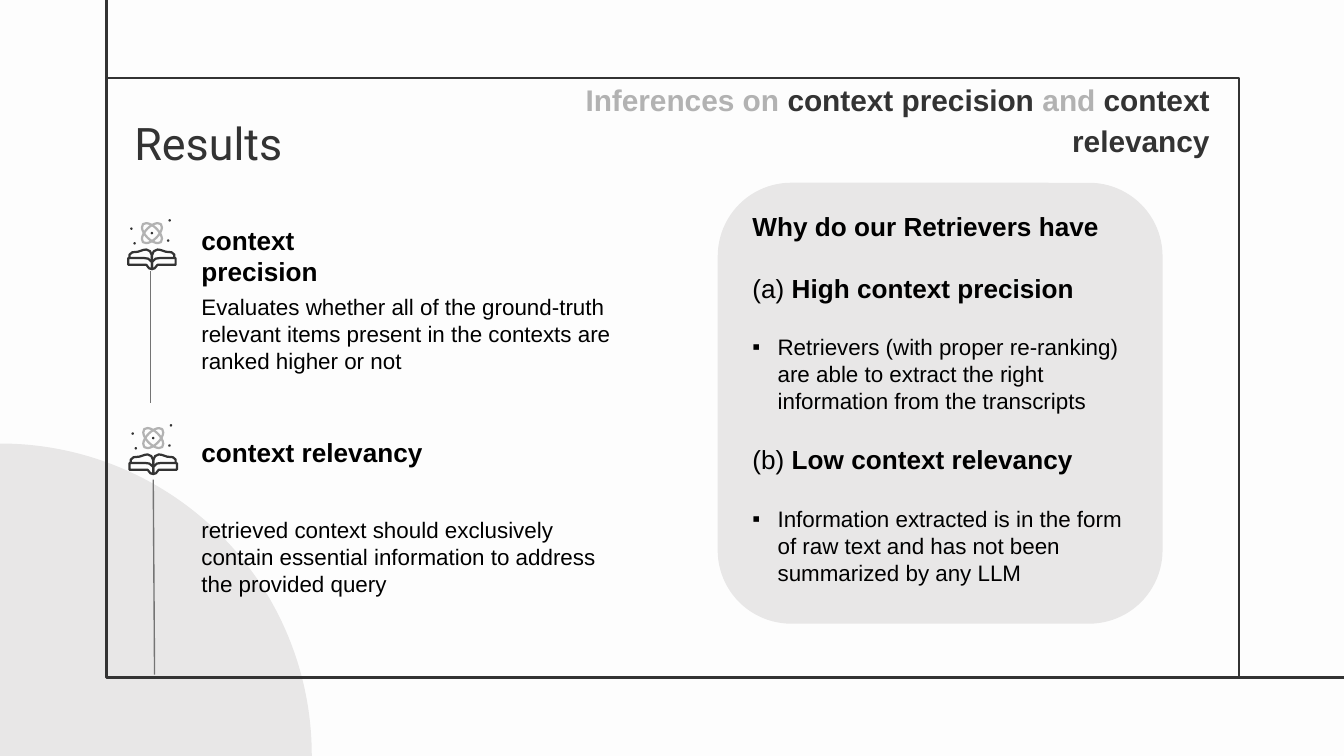
from lxml import etree
from pptx import Presentation, util as u
from pptx.dml import color
from pptx.enum import shapes, text
from pptx.oxml import ns

Pt = u.Pt
DARK, GREY, PALE, BLACK, THREAD = "333333", "B2B2B2", "E8E7E7", "000000", "747474"
OVAL = shapes.MSO_SHAPE.OVAL
HEADING = {"size": Pt(14), "bold": True}
BODY = {"size": Pt(12), "bold": False}

# Right half of the book icon, relative to the icon's top centre
COVER = [(0, 23), (2, 21.2), (4, 20.9), (12.7, 20.9), (12.7, 24.5),
         (3, 24.5), (1.5, 26.4), (0, 26.8)]
PAGE = [(0, 23), (0, 19.4), (1, 17.2), (3, 16.3), (4.5, 16.5), (7.5, 17.5),
        (10.5, 17.8), (12, 19), (12, 20.9)]
DOTS = [(0, 7.5), (9.5, 0.7), (-9.3, 13), (-11, 5.1), (8.7, 11.5)]


def rgb(value):
    return color.RGBColor.from_string(value)


def set_format(target, values):
    for name, value in values.items():
        setattr(target, name, value)


def style_shape(shape, fill=None, line=None, width=1.5):
    shape.shadow.inherit = False
    if fill:
        shape.fill.solid()
        shape.fill.fore_color.rgb = rgb(fill)
    else:
        shape.fill.background()
    if line:
        shape.line.color.rgb = rgb(line)
        shape.line.width = Pt(width)
    else:
        shape.line.fill.background()


def add_shape(slide, kind, box, **style):
    shape = slide.shapes.add_shape(kind, *map(Pt, box))
    style_shape(shape, **style)
    return shape


def add_line(slide, start, end, line, width):
    connector = slide.shapes.add_connector(
        shapes.MSO_CONNECTOR.STRAIGHT, *map(Pt, start + end))
    connector.line.color.rgb = rgb(line)
    connector.line.width = Pt(width)
    etree.SubElement(connector._element.spPr, ns.qn("a:effectLst"))


def add_outline(slide, points, closed):
    points = [(Pt(x), Pt(y)) for x, y in points]
    builder = slide.shapes.build_freeform(*points[0])
    builder.add_line_segments(points[1:], close=closed)
    style_shape(builder.convert_to_shape(), line=DARK, width=1.2)


def add_run(paragraph, words, font, tint=BLACK):
    run = paragraph.add_run()
    run.text = words
    set_format(run.font, {"name": "Arial", **font})
    run.font.color.rgb = rgb(tint)


def set_indent(paragraph, left, first):
    properties = paragraph._p.get_or_add_pPr()
    properties.set("marL", str(Pt(left)))
    properties.set("indent", str(Pt(first)))
    return properties


def add_bullet(paragraph):
    properties = set_indent(paragraph, 13.5, -13.5)
    etree.SubElement(properties, ns.qn("a:buFont"), typeface="Arial")
    etree.SubElement(properties, ns.qn("a:buChar"), char="▪")


def add_text(slide, box, words, font):
    frame = slide.shapes.add_textbox(*map(Pt, box)).text_frame
    frame.word_wrap = True
    add_run(frame.paragraphs[0], words, font)


def fill_placeholder(shape, box, runs, anchor, alignment):
    places = zip(("left", "top", "width", "height"), map(Pt, box))
    set_format(shape, dict(places))
    frame = shape.text_frame
    margins = ("margin_left", "margin_top", "margin_right", "margin_bottom")
    set_format(frame, {"word_wrap": True, "auto_size": text.MSO_AUTO_SIZE.NONE,
                       "vertical_anchor": anchor, **dict.fromkeys(margins, Pt(7.2))})
    paragraph = frame.paragraphs[0]
    set_format(paragraph, {"alignment": alignment, "line_spacing": 1.15,
                           "space_before": Pt(0)})
    for words, font, tint in runs:
        add_run(paragraph, words, font, tint)
    return paragraph


def add_book_icon(slide, x, y):
    for points, closed in ((COVER, True), (PAGE, False)):
        for side in (-1, 1):
            add_outline(slide, [(x + side * dx, y + dy) for dx, dy in points], closed)
    # Atom above the book
    for angle in (45, -45):
        orbit = add_shape(slide, OVAL, (x - 6.8, y + 4.1, 13.6, 6.8),
                          line=GREY, width=1.2)
        orbit.rotation = angle
    for dx, dy in DOTS:
        add_shape(slide, OVAL, (x + dx - 0.65, y + dy - 0.65, 1.3, 1.3), fill=DARK)


def add_panel(slide):
    panel = add_shape(slide, shapes.MSO_SHAPE.ROUNDED_RECTANGLE,
                      (384.5, 97.9, 238.3, 236.2), fill=PALE)
    frame = panel.text_frame
    set_format(frame, {"word_wrap": True, "vertical_anchor": text.MSO_ANCHOR.TOP})
    plain = {**HEADING, "bold": False}
    entries = [
        (False, [("Why do our Retrievers have", HEADING)]),
        (False, [("(a)", plain), (" High context precision", HEADING)]),
        (True, [("Retrievers (with proper re-ranking) are able to extract "
                 "the right information from the transcripts", BODY)]),
        (False, [("(b) ", plain), ("Low context relevancy", HEADING)]),
        (True, [("Information extracted is in the form of raw text and has "
                 "not been summarized by any LLM", BODY)]),
    ]
    for index, (bulleted, runs) in enumerate(entries):
        paragraph = frame.add_paragraph() if index else frame.paragraphs[0]
        set_format(paragraph, {"alignment": text.PP_ALIGN.LEFT,
                               "space_before": Pt(16 if index else 0)})
        if bulleted:
            add_bullet(paragraph)
        for words, font in runs:
            add_run(paragraph, words, font)


def main():
    presentation = Presentation()
    presentation.slide_width, presentation.slide_height = Pt(720), Pt(405)
    slide = presentation.slides.add_slide(presentation.slide_layouts[0])
    slide.background.fill.solid()
    slide.background.fill.fore_color.rgb = rgb("FDFDFD")

    # Corner circle and frame
    add_shape(slide, OVAL, (-167, 237.6, 334, 334), fill=PALE)
    add_shape(slide, shapes.MSO_SHAPE.RECTANGLE, (57.2, 41.8, 606.6, 321.1), line=DARK)
    add_line(slide, (57.2, 41.8), (57.2, 0), DARK, 1.5)
    add_line(slide, (663.8, 362.9), (720, 362.9), DARK, 1.5)

    # Title and subtitle
    fill_placeholder(slide.shapes.title, (64.8, 50.4, 109.4, 41.8),
                     [("Results", {"name": "Roboto", "size": Pt(24)}, DARK)],
                     text.MSO_ANCHOR.TOP, text.PP_ALIGN.LEFT)
    bold = {"size": Pt(16), "bold": True}
    subtitle = fill_placeholder(
        slide.placeholders[1], (229, 56.9, 426.2, 35.3),
        [("Inferences on ", bold, GREY), ("context precision ", bold, DARK),
         ("and", bold, GREY), (" context relevancy", bold, DARK)],
        text.MSO_ANCHOR.BOTTOM, text.PP_ALIGN.RIGHT)
    set_indent(subtitle, 36, -25.2)

    # Metric definitions
    add_text(slide, (100.8, 116.6, 128.9, 24.5), "context precision", HEADING)
    add_text(slide, (100.8, 153.4, 234, 51.1),
             "Evaluates whether all of the ground-truth relevant items present "
             "in the contexts are ranked higher or not", BODY)
    add_text(slide, (100.8, 230.4, 136.1, 24.5), "context relevancy", HEADING)
    add_text(slide, (100.8, 272.9, 234, 51.1),
             "retrieved context should exclusively contain essential "
             "information to address the provided query", BODY)

    # Icons and their threads
    add_book_icon(slide, 81.4, 117.4)
    add_book_icon(slide, 82.1, 227.2)
    add_line(slide, (80.6, 145.4), (80.6, 216), THREAD, 0.75)
    add_line(slide, (82.1, 257), (82.8, 361.4), THREAD, 0.75)

    add_panel(slide)
    presentation.save("out.pptx")


if __name__ == "__main__":
    main()
